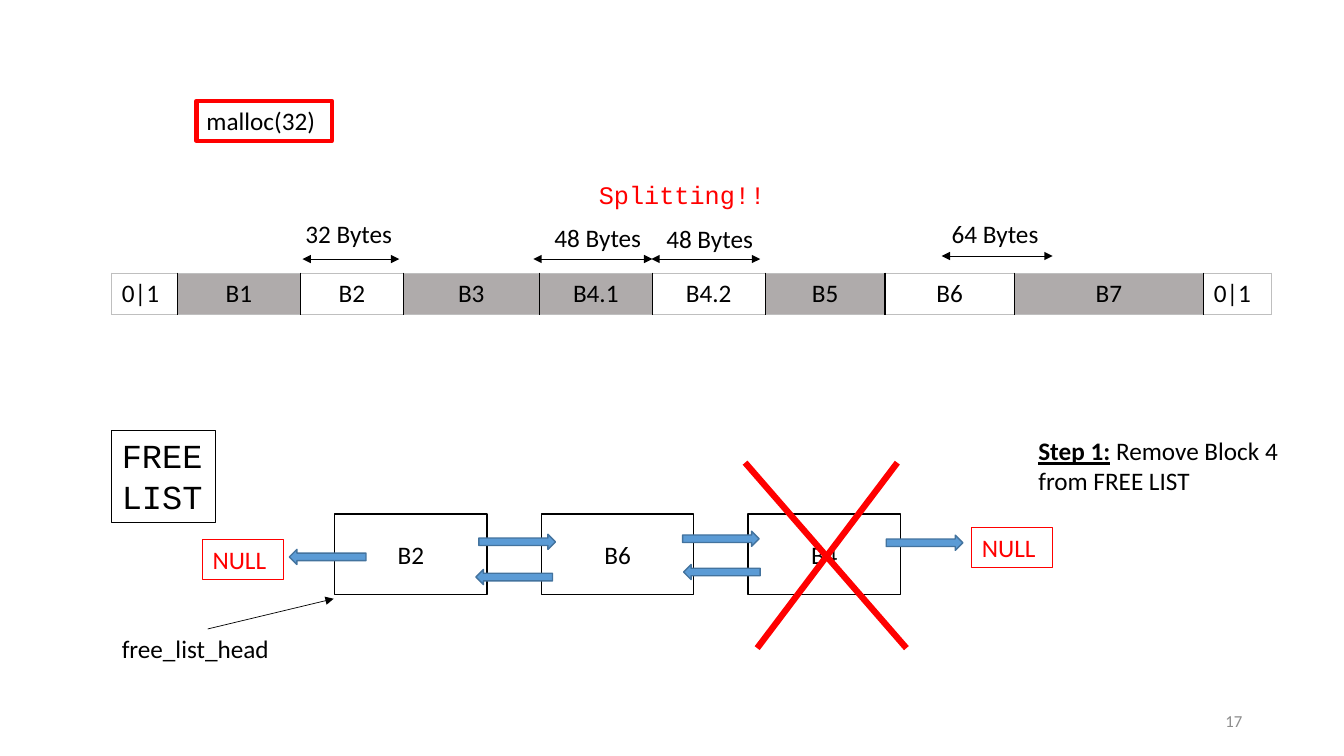
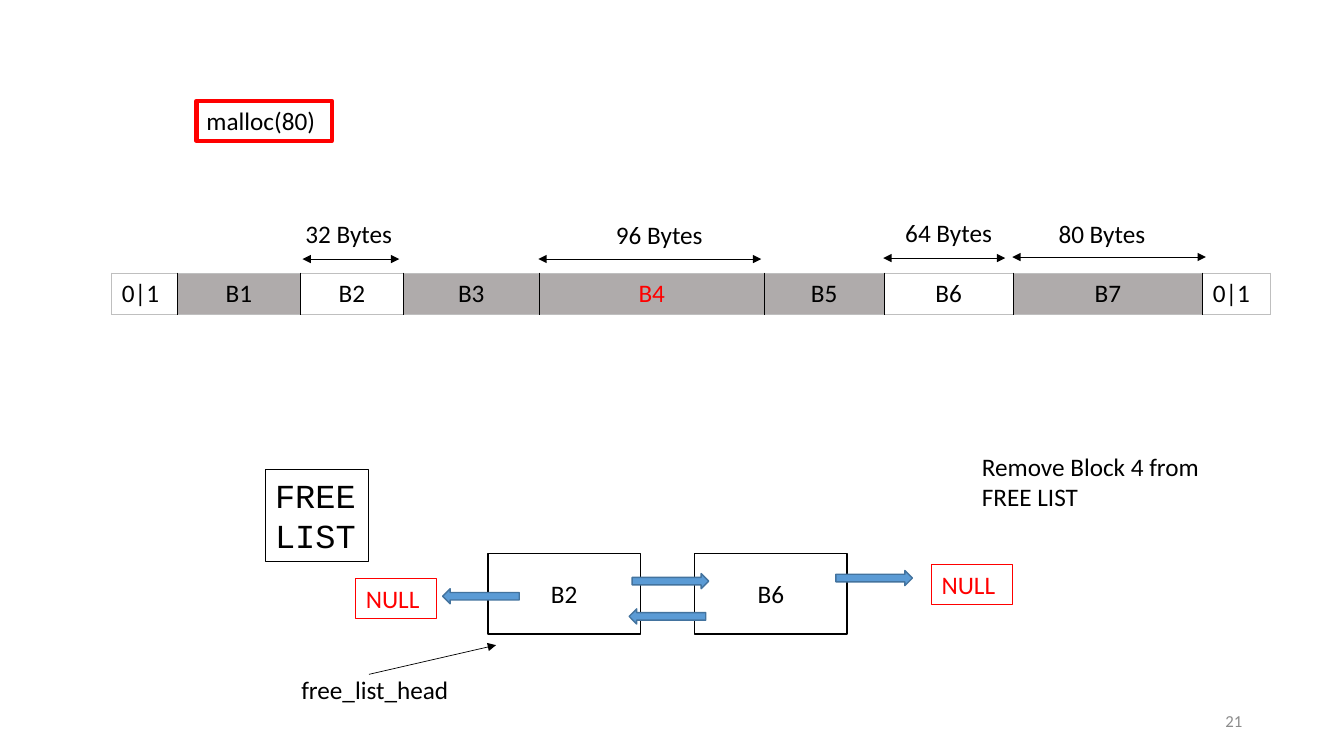
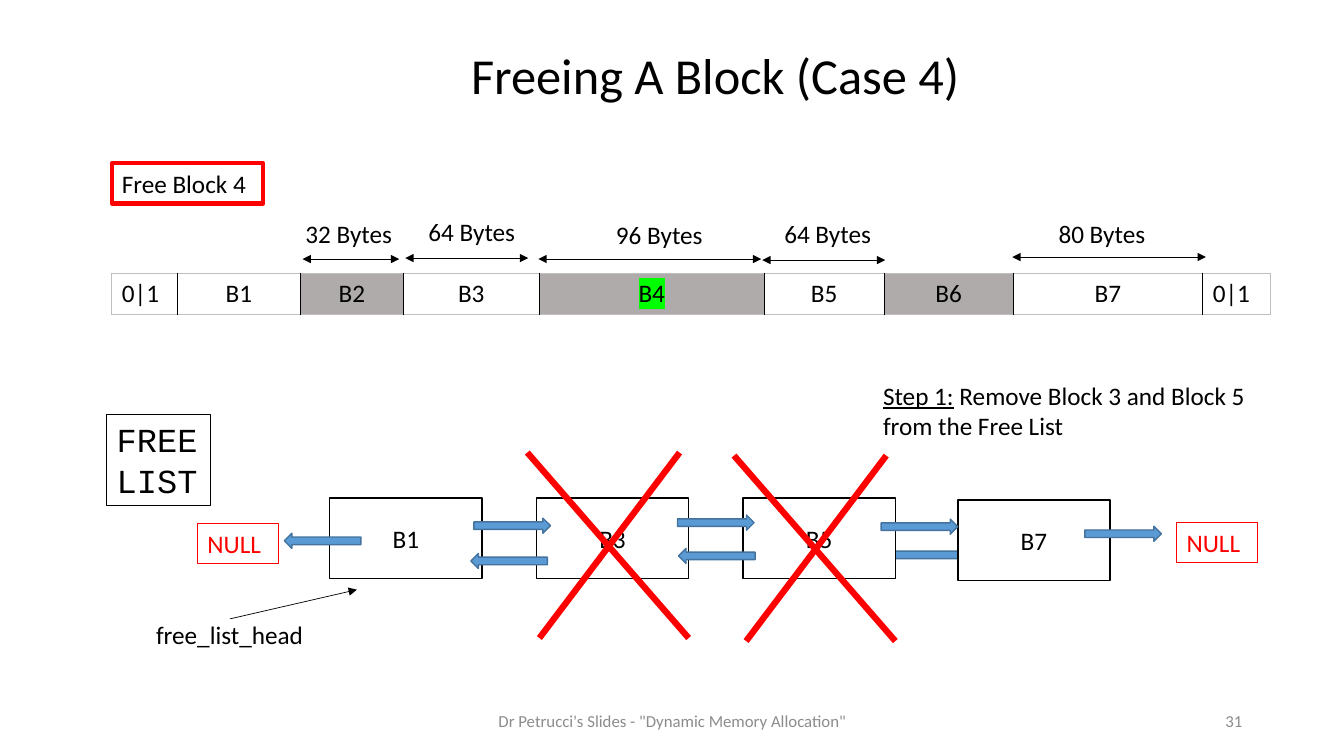
from lxml import etree
from pptx import Presentation
from pptx.dml.color import RGBColor
from pptx.enum.shapes import MSO_CONNECTOR, MSO_SHAPE
from pptx.enum.text import MSO_ANCHOR, PP_ALIGN
from pptx.oxml.ns import qn
from pptx.util import Inches, Pt

LEFT, CENTER, RIGHT = PP_ALIGN.LEFT, PP_ALIGN.CENTER, PP_ALIGN.RIGHT
TOP, MIDDLE = MSO_ANCHOR.TOP, MSO_ANCHOR.MIDDLE
RECT = MSO_SHAPE.RECTANGLE
NEXT_ARROW, BACK_ARROW = MSO_SHAPE.RIGHT_ARROW, MSO_SHAPE.LEFT_ARROW
STRAIGHT = MSO_CONNECTOR.STRAIGHT

COLORS = {"black": "000000", "white": "FFFFFF", "red": "FF0000", "used": "AFABAB",
          "arrow": "5B9BD5", "arrow_line": "43739E", "footer": "8C8C8C",
          "grid": "BFBFBF", "mark": "00FF00"}
SANS, MONO = "Calibri", "Courier New"

# Heap row: column widths with block 4 whole or split in two
WHOLE = [0.65, 1.22, 1.02, 1.35, 2.23, 1.19, 1.28, 1.88, 0.67]
SPLIT = WHOLE[:4] + [1.12, 1.12] + WHOLE[5:]
HEAP_X, HEAP_Y, HEAP_H = 1.11, 2.71, 0.41

# Size marks: label, label left, label top, arrow from, arrow to, arrow height
SIZE_B2 = ("32 Bytes", 2.93, 2.12, 3, 3.96, 2.57)
SIZE_B4 = ("96 Bytes", 6.01, 2.13, 5.34, 7.55, 2.57)
SIZE_B7 = ("80 Bytes", 10.4, 2.12, 10.04, 11.96, 2.55)

# Free list geometry, measured from the corner of its label
BLOCK_X, BLOCK_Y, BLOCK_PITCH = 2.21, 0.83, 2.05
BLOCK_W, BLOCK_H = 1.51, 0.8
ARROW_W, ARROW_H = 0.76, 0.15
NEXT_X, NEXT_PITCH = 3.64, 2.02
NEXT_Y = [1.03, 1, 1.04, 1.11]
BACK = [(1.76, 1.18), (3.61, 1.38), (5.67, 1.33), (7.71, 1.32)]
NULL_W, NULL_H = 0.8, 0.4

SLIDES = [
    {"number": "17", "call": ("malloc(32)", 1.95, 1, 1.34),
     "cols": SPLIT, "blocks": ["B1", "B2", "B3", "B4.1", "B4.2", "B5", "B6", "B7"],
     "used": {"B1", "B3", "B4.1", "B5", "B7"},
     "sizes": [SIZE_B2, ("48 Bytes", 5.4, 2.16, 5.29, 6.47, 2.57),
               ("48 Bytes", 6.51, 2.17, 6.46, 7.54, 2.57),
               ("64 Bytes", 9.34, 2.12, 9.34, 10.44, 2.54)],
     "alert": ("Splitting!!", 5.84, 1.73, 1.95),
     "origin": (1.11, 4.27), "list": ["B2", "B6", "B4"], "null": (9.64, 5.23),
     "head": (1.11, 6.23), "pointer": (2.06, 6.24, 3.31, 5.94),
     "crosses": [(7.39, 4.59)],
     "step": (10.2, 4.27, 2.71, "Step 1:", True, " Remove Block 4 from FREE LIST")},
    {"number": "21", "call": ("malloc(80)", 1.95, 1, 1.34),
     "cols": WHOLE, "blocks": ["B1", "B2", "B3", "B4", "B5", "B6", "B7"],
     "used": {"B1", "B3", "B4", "B5", "B7"}, "red": "B4",
     "sizes": [SIZE_B2, SIZE_B4, ("64 Bytes", 8.88, 2.11, 8.76, 9.97, 2.56), SIZE_B7],
     "origin": (2.63, 4.66), "list": ["B2", "B6"], "null": (9.24, 5.6),
     "head": (2.89, 6.64), "pointer": (3.66, 6.69, 4.92, 6.4),
     "crosses": [],
     "step": (9.64, 4.43, 2.71, "", False, "Remove Block 4 from FREE LIST")},
    {"number": "31", "title": "Freeing A Block (Case 4)",
     "footer": "Dr Petrucci's Slides - \"Dynamic Memory Allocation\"",
     "call": ("Free Block 4", 1.11, 1.62, 1.5),
     "cols": WHOLE, "blocks": ["B1", "B2", "B3", "B4", "B5", "B6", "B7"],
     "used": {"B2", "B4", "B6"}, "marked": "B4",
     "sizes": [SIZE_B2, ("64 Bytes", 4.15, 2.1, 4.02, 5.24, 2.56), SIZE_B4,
               ("64 Bytes", 7.68, 2.12, 7.56, 8.78, 2.58), SIZE_B7],
     "origin": (1.06, 4.11), "list": ["B1", "B3", "B5", "B7"], "null": (11.67, 5.18),
     "last_shift": (0.08, 0.02),
     "head": (1.45, 6.09), "pointer": (2.28, 6.14, 3.54, 5.85),
     "crosses": [(5.23, 4.49), (7.28, 4.52)],
     "step": (8.66, 3.72, 4.2, "Step 1:", False,
              " Remove Block 3 and Block 5 from the Free List")},
]


def rgb(name):
    return RGBColor.from_string(COLORS[name])


def inches(*lengths):
    return [Inches(v) for v in lengths]


def add_run(p, text, size=18, color="black", font=SANS):
    r = p.add_run()
    r.text = text
    r.font.size, r.font.name = Pt(size), font
    r.font.color.rgb = rgb(color)
    return r


def write(sp, text, size=18, color="black", font=SANS, align=LEFT, anchor=TOP):
    tf = sp.text_frame
    tf.word_wrap, tf.vertical_anchor = True, anchor
    p = tf.paragraphs[0]
    p.alignment = align
    if text:
        add_run(p, text, size, color, font)
    return p


def add_text(s, text, x, y, w, h=0.4, **style):
    return write(s.shapes.add_textbox(*inches(x, y, w, h)), text, **style)


def add_box(s, kind, x, y, w, h, line, width, fill=None):
    sp = s.shapes.add_shape(kind, *inches(x, y, w, h))
    sp.shadow.inherit = False
    if fill:
        sp.fill.solid()
        sp.fill.fore_color.rgb = rgb(fill)
    else:
        sp.fill.background()
    sp.line.color.rgb, sp.line.width = rgb(line), Pt(width)
    return sp


def add_line(s, x1, y1, x2, y2, color="black", width=0.5, ends=()):
    line = s.shapes.add_connector(STRAIGHT, *inches(x1, y1, x2, y2))
    line.line.color.rgb, line.line.width = rgb(color), Pt(width)
    props = line._element.spPr
    for end in ends:
        etree.SubElement(props.find(qn("a:ln")), qn(f"a:{end}"), type="triangle")
    etree.SubElement(props, qn("a:effectLst"))


def set_border(cell, side, color):
    ln = etree.SubElement(cell._tc.get_or_add_tcPr(), qn(f"a:{side}"), w=str(Pt(1)))
    fill = etree.SubElement(ln, qn("a:solidFill"))
    etree.SubElement(fill, qn("a:srgbClr"), val=COLORS[color])


def highlight(r, color):
    mark = etree.Element(qn("a:highlight"))
    etree.SubElement(mark, qn("a:srgbClr"), val=COLORS[color])
    r._r.rPr.find(qn("a:solidFill")).addnext(mark)


def add_heap(s, d):
    labels = ["0|1", *d["blocks"], "0|1"]
    last = len(labels) - 1
    frame = s.shapes.add_table(1, len(labels),
                               *inches(HEAP_X, HEAP_Y, sum(d["cols"]), HEAP_H))
    table = frame.table
    table.first_row = table.horz_banding = False
    for i, (label, width) in enumerate(zip(labels, d["cols"])):
        table.columns[i].width = Inches(width)
        cell = table.cell(0, i)
        p = cell.text_frame.paragraphs[0]
        p.alignment = CENTER if 0 < i < last else LEFT
        r = add_run(p, label, color="red" if label == d.get("red") else "black")
        if label == d.get("marked"):
            highlight(r, "mark")
        # Borders come before the fill in the cell properties
        set_border(cell, "lnL", "black" if i else "grid")
        set_border(cell, "lnR", "black" if i < last else "grid")
        set_border(cell, "lnT", "grid")
        set_border(cell, "lnB", "grid")
        cell.fill.solid()
        cell.fill.fore_color.rgb = rgb("used" if label in d["used"] else "white")


def add_null(s, x, y):
    write(add_box(s, RECT, x, y, NULL_W, NULL_H, "red", 0.75), "NULL", color="red")


def add_free_list(s, d):
    x, y = d["origin"]
    count = len(d["list"])

    def arrow(kind, dx, dy):
        add_box(s, kind, x + dx, y + dy, ARROW_W, ARROW_H, "arrow_line", 1, "arrow")

    write(add_box(s, RECT, x, y, 1.03, 0.91, "black", 0.75), "FREE LIST",
          size=24, font=MONO)
    # The fourth back arrow runs behind the blocks
    for dx, dy in BACK[3:count]:
        arrow(BACK_ARROW, dx, dy)
    for i, label in enumerate(d["list"]):
        sx, sy = d.get("last_shift", (0, 0)) if i == count - 1 else (0, 0)
        sp = add_box(s, RECT, x + BLOCK_X + i * BLOCK_PITCH + sx, y + BLOCK_Y + sy,
                     BLOCK_W, BLOCK_H, "black", 1, "white")
        write(sp, label, align=CENTER, anchor=MIDDLE)
    for i in range(count):
        arrow(NEXT_ARROW, NEXT_X + i * NEXT_PITCH, NEXT_Y[i])
    for dx, dy in BACK[:min(count, 3)]:
        arrow(BACK_ARROW, dx, dy)
    add_null(s, x + 0.9, y + 1.08)
    add_null(s, *d["null"])

    # Head pointer and removed blocks
    add_text(s, "free_list_head", *d["head"], 1.96)
    add_line(s, *d["pointer"], ends=["tailEnd"])
    for cx, cy in d["crosses"]:
        for x1, x2 in ((1.51, 0.12), (0, 1.6)):
            add_line(s, cx + x1, cy, cx + x2, cy + 1.84, "red", 4.5)


def build_slide(prs, d):
    s = prs.slides.add_slide(prs.slide_layouts[5 if "title" in d else 6])
    if "title" in d:
        title = s.shapes.title
        title.left, title.top, title.width, title.height = inches(4.15, 0.39, 5.89, 0.71)
        write(title, d["title"], size=36, align=CENTER)

    # Request and heap
    text, x, y, w = d["call"]
    write(add_box(s, RECT, x, y, w, 0.4, "red", 3), text)
    add_heap(s, d)
    for label, x, y, start, end, line_y in d["sizes"]:
        add_text(s, label, x, y, 1.09)
        add_line(s, start, line_y, end, line_y, ends=["headEnd", "tailEnd"])
    if "alert" in d:
        add_text(s, *d["alert"], color="red", font=MONO)

    add_free_list(s, d)

    # Step note
    x, y, w, lead, bold, rest = d["step"]
    p = add_text(s, "", x, y, w, 0.71)
    if lead:
        r = add_run(p, lead)
        r.font.underline, r.font.bold = True, bold
    add_run(p, rest)

    # Footer
    small = {"size": 12, "color": "footer", "anchor": MIDDLE}
    add_text(s, d["number"], 9.42, 6.95, 3, align=RIGHT, **small)
    if "footer" in d:
        add_text(s, d["footer"], 4.42, 6.95, 4.5, align=CENTER, **small)


def main():
    prs = Presentation()
    prs.slide_width, prs.slide_height = inches(13.33, 7.5)
    for d in SLIDES:
        build_slide(prs, d)
    prs.save("out.pptx")


if __name__ == "__main__":
    main()
